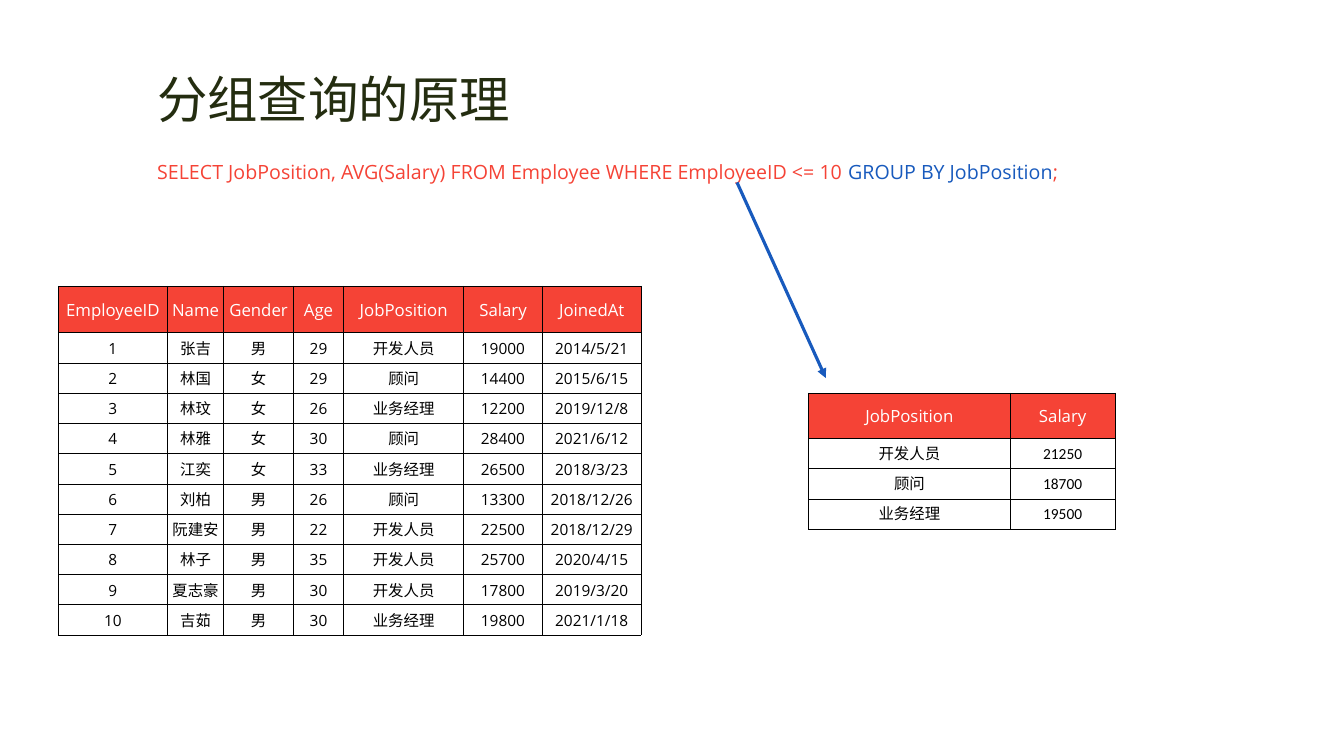
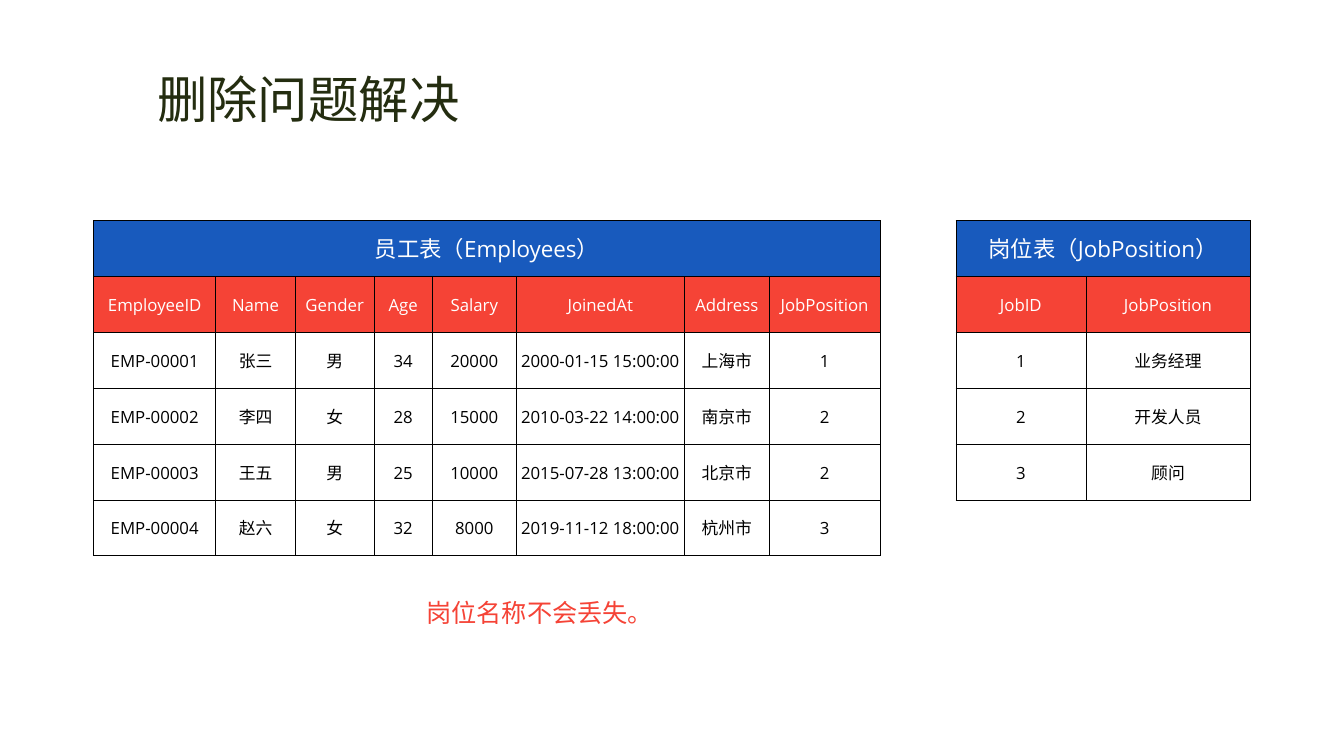
from lxml.etree import SubElement
from pptx import Presentation
from pptx.dml.color import RGBColor
from pptx.enum.shapes import MSO_CONNECTOR
from pptx.enum.text import MSO_ANCHOR, MSO_AUTO_SIZE, PP_ALIGN
from pptx.oxml.ns import qn
from pptx.util import Inches, Pt

COLORS = {"title": "242D10", "red": "F54336", "blue": "185ABD",
          "white": "FFFFFF", "black": "000000"}
FONT = "Open Sans"
HEADER = ("red", 12)
CAPTION = ("blue", 16)


def style_font(font, size, color, name=FONT):
    """Set size, colour and typeface, the latter for Chinese characters too."""
    font.size = Pt(size)
    font.color.rgb = RGBColor.from_string(COLORS[color])
    font.name = name
    SubElement(font._element, qn("a:ea"), typeface=name)


def add_grid(slide, left, top, widths, heights, rows, heads, size=12, name=FONT):
    """Add a bordered table; heads gives fill and text size of its leading rows.

    A row with a single text is merged across all columns.
    """
    frame = slide.shapes.add_table(len(rows), len(widths), Inches(left), Inches(top),
                                   Inches(sum(widths)), Inches(sum(heights)))
    table = frame.table
    table.first_row = table.horz_banding = False
    for column, width in zip(table.columns, widths):
        column.width = Inches(width)
    for index, texts in enumerate(rows):
        table.rows[index].height = Inches(heights[index])
        if len(texts) == 1:
            table.cell(index, 0).merge(table.cell(index, len(widths) - 1))
        for position in range(len(widths)):
            cell = table.cell(index, position)
            cell.vertical_anchor = MSO_ANCHOR.MIDDLE
            cell.margin_left = cell.margin_right = cell.margin_top = Inches(0.01)
            cell.margin_bottom = 0
            for side in ("a:lnL", "a:lnR", "a:lnT", "a:lnB"):
                border = SubElement(cell._tc.get_or_add_tcPr(), qn(side), w=str(Pt(0.5)))
                fill = SubElement(border, qn("a:solidFill"))
                SubElement(fill, qn("a:srgbClr"), val=COLORS["black"])
            if index < len(heads):
                fill_color, text_size = heads[index]
                cell.fill.solid()
                cell.fill.fore_color.rgb = RGBColor.from_string(COLORS[fill_color])
                text_style = (text_size, "white")
            else:
                cell.fill.background()
                text_style = (size, "black", name)
            para = cell.text_frame.paragraphs[0]
            para.alignment = PP_ALIGN.CENTER
            if position < len(texts):
                para.text = texts[position]
            style_font(para.font, *text_style)


deck = Presentation()
deck.slide_width, deck.slide_height = Inches(13.33), Inches(7.5)
slides = []
for title, width in (("分组查询的原理", 3.74), ("删除问题解决", 3.23)):
    slide = deck.slides.add_slide(deck.slide_layouts[6])
    box = slide.shapes.add_textbox(Inches(1.46), Inches(0.63), Inches(width), Inches(0.71))
    box.text_frame.word_wrap = False
    box.text_frame.auto_size = MSO_AUTO_SIZE.SHAPE_TO_FIT_TEXT
    para = box.text_frame.paragraphs[0]
    para.text = title
    style_font(para.font, 36, "title")
    slides.append(slide)
grouping, deletion = slides

# Text lines below the titles
for slide, place, spacing, size, parts in (
    (grouping, (1.46, 1.3, 9.61, 0.51), 2, 14,
     (("SELECT JobPosition, AVG(Salary) FROM Employee WHERE EmployeeID <= 10 ", "red"),
      ("GROUP BY JobPosition", "blue"), (";", "red"))),
    (deletion, (4.13, 5.73, 2.41, 0.51), 1.5, 18, (("岗位名称不会丢失。", "red"),)),
):
    box = slide.shapes.add_textbox(*map(Inches, place))
    box.text_frame.word_wrap = True
    box.text_frame.auto_size = MSO_AUTO_SIZE.SHAPE_TO_FIT_TEXT
    para = box.text_frame.paragraphs[0]
    para.line_spacing = spacing
    for text, color in parts:
        span = para.add_run()
        span.text = text
        style_font(span.font, size, color)

# Grouped query: source rows and result
employees = [
    ("EmployeeID", "Name", "Gender", "Age", "JobPosition", "Salary", "JoinedAt"),
    ("1", "张吉", "男", "29", "开发人员", "19000", "2014/5/21"),
    ("2", "林国", "女", "29", "顾问", "14400", "2015/6/15"),
    ("3", "林玟", "女", "26", "业务经理", "12200", "2019/12/8"),
    ("4", "林雅", "女", "30", "顾问", "28400", "2021/6/12"),
    ("5", "江奕", "女", "33", "业务经理", "26500", "2018/3/23"),
    ("6", "刘柏", "男", "26", "顾问", "13300", "2018/12/26"),
    ("7", "阮建安", "男", "22", "开发人员", "22500", "2018/12/29"),
    ("8", "林子", "男", "35", "开发人员", "25700", "2020/4/15"),
    ("9", "夏志豪", "男", "30", "开发人员", "17800", "2019/3/20"),
    ("10", "吉茹", "男", "30", "业务经理", "19800", "2021/1/18"),
]
averages = [("JobPosition", "Salary"), ("开发人员", "21250"),
            ("顾问", "18700"), ("业务经理", "19500")]
add_grid(grouping, 0.58, 2.84, (1.08, 0.56, 0.69, 0.5, 1.19, 0.78, 0.98),
         [0.46] + [0.3] * 10, employees, [HEADER], size=11)
add_grid(grouping, 8.02, 3.9, (2, 1.04), [0.45] + [0.3] * 3, averages, [HEADER],
         size=11, name="Calibri")

arrow = grouping.shapes.add_connector(MSO_CONNECTOR.STRAIGHT, Inches(7.31), Inches(1.81),
                                      Inches(8.19), Inches(3.75))
arrow.line.color.rgb = RGBColor.from_string(COLORS["blue"])
arrow.line.width = Pt(2.25)
SubElement(arrow.line._get_or_add_ln(), qn("a:tailEnd"), type="triangle")
SubElement(arrow._element.spPr, qn("a:effectLst"))

# Deletion: staff and positions kept apart, the last employee in a table of its own
staff = [
    ("员工表（Employees）",),
    ("EmployeeID", "Name", "Gender", "Age", "Salary", "JoinedAt", "Address", "JobPosition"),
    ("EMP-00001", "张三", "男", "34", "20000", "2000-01-15 15:00:00", "上海市", "1"),
    ("EMP-00002", "李四", "女", "28", "15000", "2010-03-22 14:00:00", "南京市", "2"),
    ("EMP-00003", "王五", "男", "25", "10000", "2015-07-28 13:00:00", "北京市", "2"),
]
removable = [("EMP-00004", "赵六", "女", "32", "8000", "2019-11-12 18:00:00", "杭州市", "3")]
positions = [("岗位表（JobPosition）",), ("JobID", "JobPosition"),
             ("1", "业务经理"), ("2", "开发人员"), ("3", "顾问")]
staff_left, staff_top, staff_height = 0.93, 2.19, 2.77
staff_widths = (1.21, 0.79, 0.78, 0.58, 0.83, 1.67, 0.84, 1.1)
row_heights = [staff_height / len(staff)] * len(staff)
add_grid(deletion, staff_left, staff_top, staff_widths, row_heights, staff, [CAPTION, HEADER])
add_grid(deletion, 9.48, staff_top, (1.29, 1.63), row_heights, positions, [CAPTION, HEADER])
add_grid(deletion, staff_left, staff_top + staff_height, staff_widths, row_heights[:1],
         removable, [])

deck.save("out.pptx")
